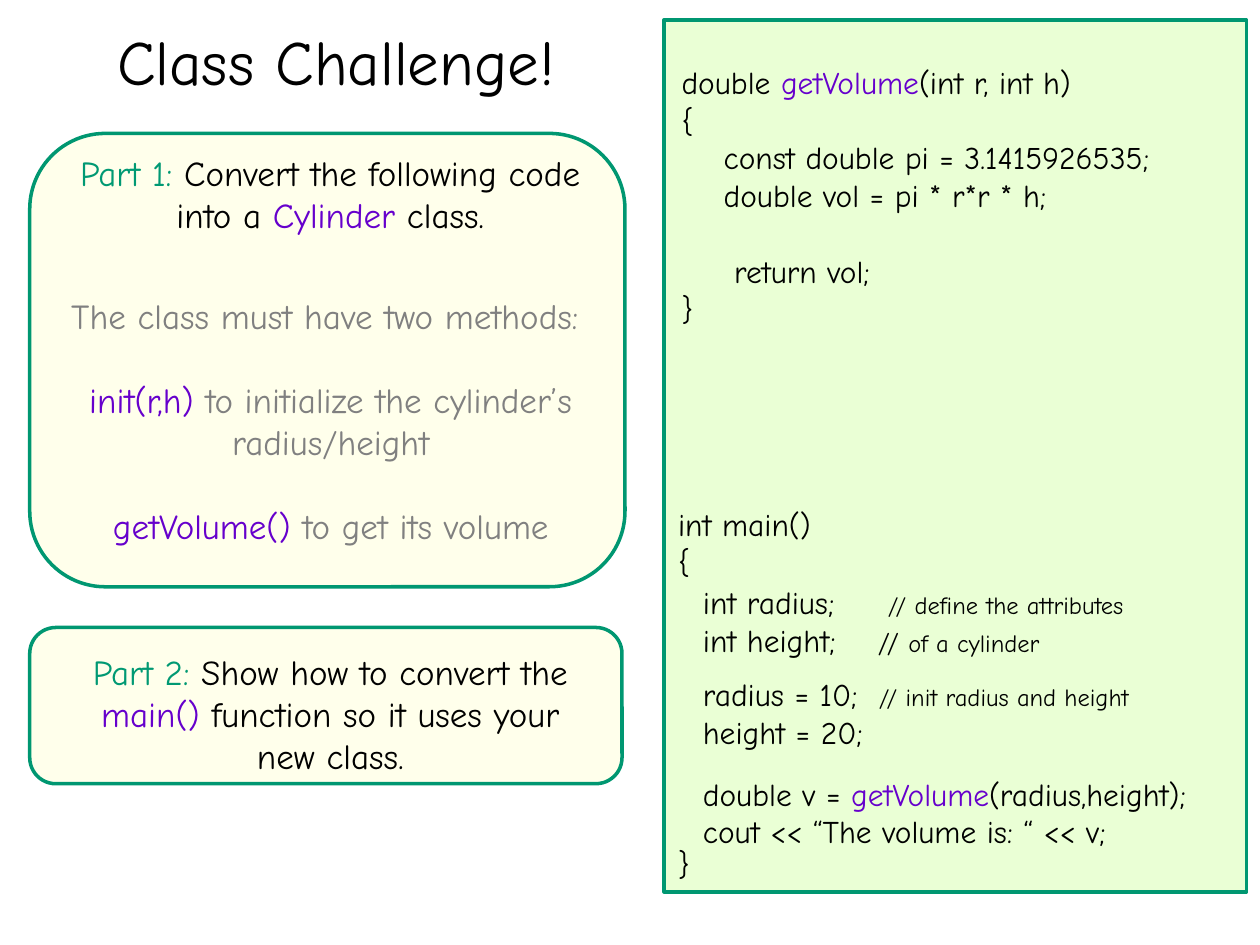
from lxml.etree import SubElement
from pptx import Presentation
from pptx.dml.color import RGBColor
from pptx.enum.shapes import MSO_SHAPE
from pptx.enum.text import MSO_ANCHOR, PP_ALIGN
from pptx.oxml.ns import qn
from pptx.util import Cm, Pt

FONT = "Comic Neue"
BLACK, GRAY, PURPLE = "000000", "808080", "6600CC"
LABEL, BORDER = "009973", "009771"
CREAM, MINT = "FFFFEB", "EAFFD5"


def color(value):
    return RGBColor.from_string(value)


def add_panel(page, box, kind, fill):
    panel = page.shapes.add_shape(kind, *(Cm(length) for length in box))
    panel.shadow.inherit = False
    panel.fill.solid()
    panel.fill.fore_color.rgb = color(fill)
    panel.line.color.rgb = color(BORDER)
    panel.line.width = Pt(2)


def add_text(page, box, paras, size=18, align=PP_ALIGN.LEFT,
             anchor=MSO_ANCHOR.TOP, gaps=None, tab=None):
    frame = page.shapes.add_textbox(*(Cm(length) for length in box)).text_frame
    frame.word_wrap = True
    frame.vertical_anchor = anchor
    for index, spans in enumerate(paras):
        para = frame.paragraphs[0] if index == 0 else frame.add_paragraph()
        para.alignment = align
        if gaps and index in gaps:
            para.space_before = Pt(gaps[index])
        if tab:
            stops = SubElement(para._p.get_or_add_pPr(), qn("a:tabLst"))
            SubElement(stops, qn("a:tab"), pos=str(Cm(tab)), algn="l")
        para.font.size = Pt(size)
        for text, ink, *own_size in spans:
            span = para.add_run()
            span.text = text
            span.font.name = FONT
            span.font.size = Pt(own_size[0] if own_size else size)
            span.font.color.rgb = color(ink)


def inside(box, left, top, width, height):
    return box[0] + left, box[1] + top, width, height


def add_part_one(page, box):
    add_panel(page, box, MSO_SHAPE.ROUNDED_RECTANGLE, CREAM)
    add_text(page, inside(box, 0.56, 0.23, 11, 1.96), [
        [("Part 1: ", LABEL), ("Convert the following code into a ", BLACK),
         ("Cylinder", PURPLE), (" class.", BLACK)],
    ], size=20, align=PP_ALIGN.CENTER)
    add_text(page, inside(box, -0.23, 3.12, 12.6, 5.38), [
        [("The class must have two methods: ", GRAY)],
        [("init(r,h) ", PURPLE),
         ("to initialize the cylinder’s radius/height", GRAY)],
        [("getVolume() ", PURPLE), ("to get its volume", GRAY)],
    ], size=20, align=PP_ALIGN.CENTER, gaps={1: 24, 2: 24})


def add_part_two(page, box):
    add_panel(page, box, MSO_SHAPE.ROUNDED_RECTANGLE, CREAM)
    add_text(page, inside(box, 0.56, 0.33, 11, 2.82), [
        [("Part 2: ", LABEL), ("Show how to convert the ", BLACK),
         ("main() ", PURPLE), ("function so it uses your new class.", BLACK)],
    ], size=20, align=PP_ALIGN.CENTER)


def add_code(page, box):
    add_panel(page, box, MSO_SHAPE.RECTANGLE, MINT)
    add_text(page, inside(box, 0.03, 9.65, 3.5, 8.26), [
        [("int main()", BLACK)], [("{", BLACK)], [("}", BLACK)],
    ], gaps={2: 150.5})
    add_text(page, inside(box, 0.1, 0.74, 10.92, 5.64), [
        [("double ", BLACK), ("getVolume", PURPLE), ("(int r, int h)", BLACK)],
        [("{", BLACK)],
        [("    const double pi = 3.1415926535;", BLACK)],
        [("    double vol = pi * r*r * h;", BLACK)],
        [("     return vol;", BLACK)],
        [("}", BLACK)],
    ], gaps={4: 21.5})
    body_left, body_width = 0.53, 11
    body = [
        (11.23, 1.02, 3.73, [
            [("int radius;\t", BLACK), ("// define the attributes", BLACK, 14)]]),
        (11.99, 1.02, 3.53, [
            [("int height;\t", BLACK), ("// ", BLACK, 16),
             ("of a cylinder", BLACK, 14)]]),
        (13.08, 1.8, 3.55, [
            [("radius = 10;\t", BLACK),
             ("// init radius and height", BLACK, 14)],
            [("height = 20;", BLACK)]]),
        (15.09, 1.8, None, [
            [("double v = ", BLACK), ("getVolume", PURPLE),
             ("(radius,height);", BLACK)],
            [("cout << “The volume is: “ << v;", BLACK)]]),
    ]
    for top, height, tab, paras in body:
        add_text(page, inside(box, body_left, top, body_width, height),
                 paras, tab=tab)


def main():
    deck = Presentation()
    deck.slide_width, deck.slide_height = Cm(25.4), Cm(19.05)
    page = deck.slides.add_slide(deck.slide_layouts[6])
    add_text(page, (2.11, 0, 21.59, 2.42), [[("Class Challenge!", BLACK)]],
             size=36, anchor=MSO_ANCHOR.MIDDLE)
    add_part_one(page, (0.6, 2.69, 12, 9.14))
    add_part_two(page, (0.6, 12.65, 11.94, 3.15))
    add_code(page, (13.39, 0.4, 11.74, 17.58))
    deck.save("out.pptx")


if __name__ == "__main__":
    main()
